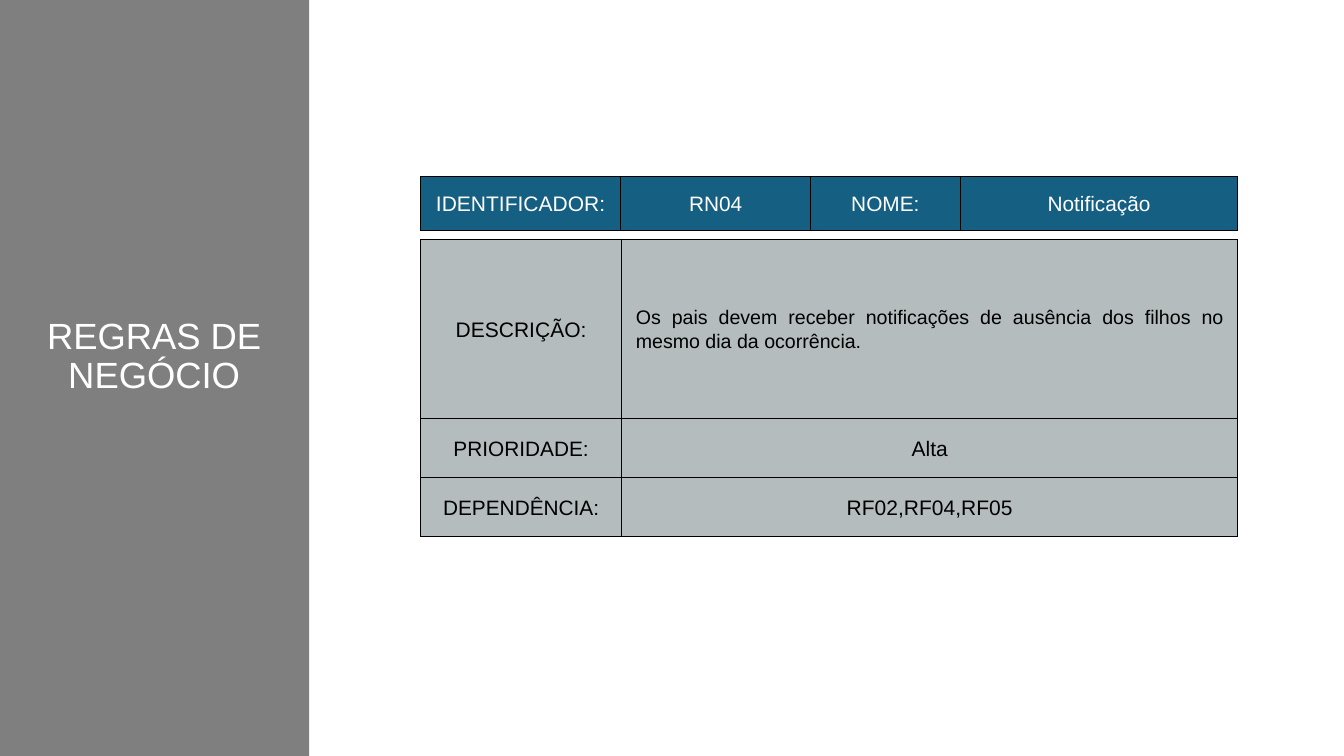
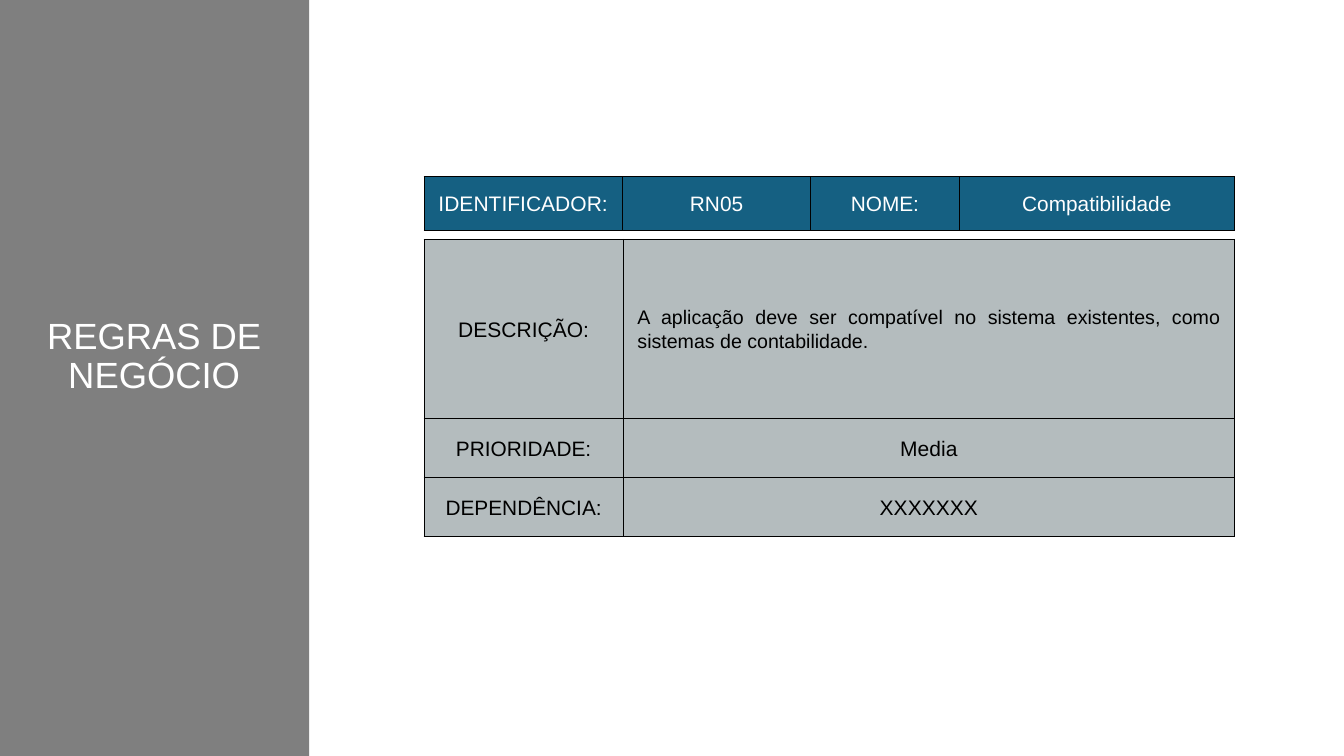
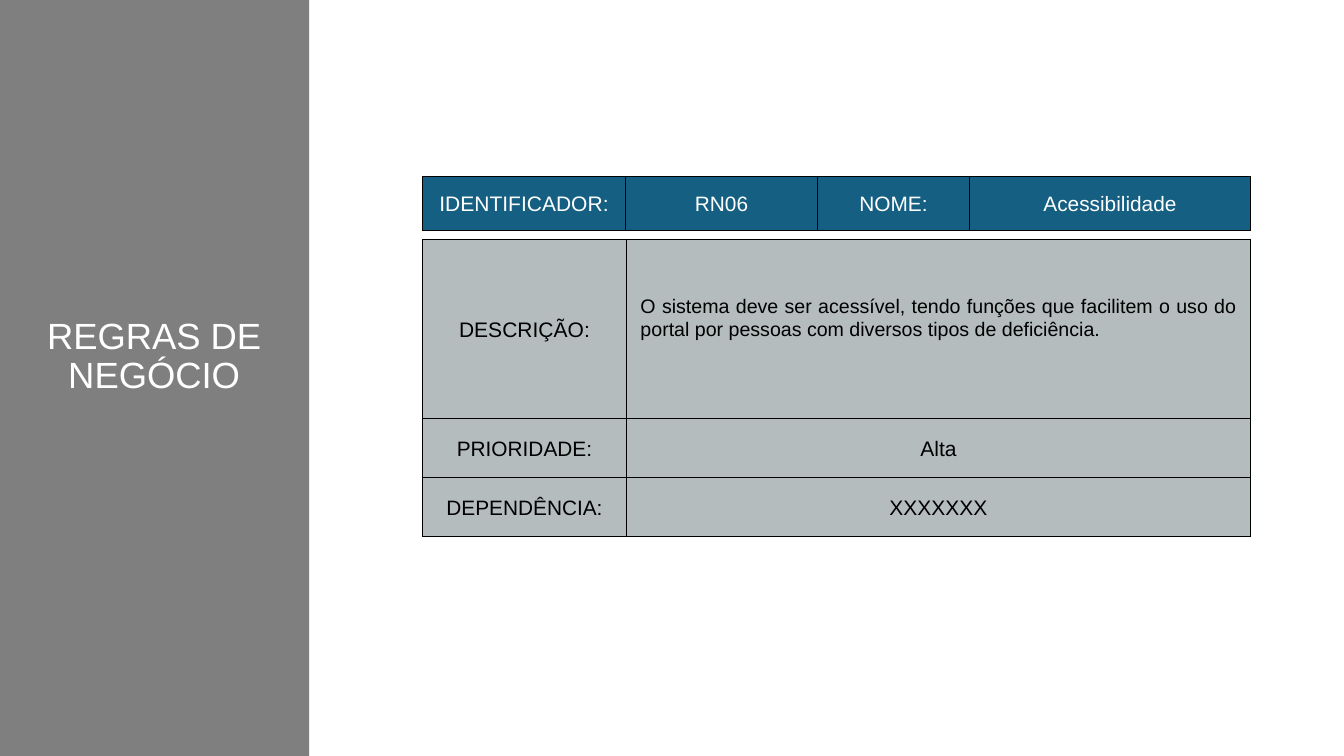
from pptx import Presentation
from pptx.dml.color import RGBColor
from pptx.enum.shapes import MSO_SHAPE
from pptx.enum.text import MSO_ANCHOR, PP_ALIGN
from pptx.oxml.ns import qn
from pptx.util import Inches, Pt
from lxml.etree import SubElement

WHITE = RGBColor(0xFF, 0xFF, 0xFF)
BLACK = RGBColor(0x00, 0x00, 0x00)
GRAY = RGBColor(0x7F, 0x7F, 0x7F)
BLUE = RGBColor(0x15, 0x60, 0x82)
SILVER = RGBColor(0xB4, 0xBC, 0xBE)

FONT = "Arial"
LABEL_SIZE = 22.5
DETAIL_SIZE = 22.3
DESCRIPTION_SIZE = 21
CELL_MARGIN = 0.21

SLIDE_WIDTH, SLIDE_HEIGHT = 20, 11.25
BAND_WIDTH = 4.6
HEADER_TOP, BODY_TOP = 2.63, 3.56
HEADER_ROWS = [0.79]
BODY_ROWS = [2.67, 0.88, 0.88]
HEADER_SHARES = [0.245, 0.232, 0.1835, 0.3395]
BODY_SHARES = [0.246, 0.754]

RULES = [
    dict(code="RN04", name="Notificação", priority="Alta",
         dependency="RF02,RF04,RF05", left=6.26, width=12.16,
         description="Os pais devem receber notificações de ausência dos "
                     "filhos no mesmo dia da ocorrência."),
    dict(code="RN05", name="Compatibilidade", priority="Media",
         dependency="XXXXXXX", left=6.31, width=12.06,
         description="A aplicação deve ser compatível no sistema existentes, "
                     "como sistemas de contabilidade."),
    dict(code="RN06", name="Acessibilidade", priority="Alta",
         dependency="XXXXXXX", left=6.29, width=12.32, description_lift=0.35,
         description="O sistema deve ser acessível, tendo funções que facilitem "
                     "o uso do portal por pessoas com diversos tipos de deficiência."),
]


def write_text(frame, text, size=LABEL_SIZE, color=BLACK,
               align=PP_ALIGN.CENTER, leading=1.2):
    frame.word_wrap = True
    paragraph = frame.paragraphs[0]
    paragraph.alignment = align
    paragraph.line_spacing = Pt(round(size * leading, 1))
    run = paragraph.add_run()
    run.text = text
    run.font.name = FONT
    run.font.size = Pt(size)
    run.font.color.rgb = color


def add_borders(cell):
    properties = cell._tc.get_or_add_tcPr()
    for side in ("a:lnL", "a:lnR", "a:lnT", "a:lnB"):
        border = SubElement(properties, qn(side), w=str(Pt(1)))
        fill = SubElement(border, qn("a:solidFill"))
        SubElement(fill, qn("a:srgbClr"), val=str(BLACK))


def style_cell(cell, fill):
    cell.vertical_anchor = MSO_ANCHOR.MIDDLE
    cell.margin_left = cell.margin_right = Inches(CELL_MARGIN)
    cell.margin_top = cell.margin_bottom = Inches(CELL_MARGIN)
    add_borders(cell)
    cell.fill.solid()
    cell.fill.fore_color.rgb = fill


def add_grid(slide, left, top, width, shares, heights, content, fill, color):
    grid = slide.shapes.add_table(
        len(heights), len(shares), Inches(left), Inches(top),
        Inches(width), Inches(sum(heights))).table
    grid.first_row = grid.horz_banding = False
    for column, share in zip(grid.columns, shares):
        column.width = Inches(width * share)
    for row, height, entries in zip(grid.rows, heights, content):
        row.height = Inches(height)
        for cell, (text, text_format) in zip(row.cells, entries):
            style_cell(cell, fill)
            write_text(cell.text_frame, text, color=color, **text_format)
    return grid


def add_rule_tables(slide, rule):
    label = dict(size=LABEL_SIZE)
    detail = dict(size=DETAIL_SIZE)
    prose = dict(size=DESCRIPTION_SIZE, align=PP_ALIGN.JUSTIFY)
    header = [[("IDENTIFICADOR:", label), (rule["code"], detail),
               ("NOME:", detail), (rule["name"], detail)]]
    body = [
        [("DESCRIÇÃO:", label), (rule["description"], prose)],
        [("PRIORIDADE:", detail), (rule["priority"], label)],
        [("DEPENDÊNCIA:", detail), (rule["dependency"], label)],
    ]
    left, width = rule["left"], rule["width"]
    add_grid(slide, left, HEADER_TOP, width, HEADER_SHARES, HEADER_ROWS,
             header, BLUE, WHITE)
    details = add_grid(slide, left, BODY_TOP, width, BODY_SHARES, BODY_ROWS,
                       body, SILVER, BLACK)
    lift = rule.get("description_lift", 0)
    details.cell(0, 1).margin_bottom = Inches(CELL_MARGIN + lift)


def add_title_band(slide, title):
    band = slide.shapes.add_shape(MSO_SHAPE.RECTANGLE, 0, 0,
                                  Inches(BAND_WIDTH), Inches(SLIDE_HEIGHT))
    band.shadow.inherit = False
    band.fill.solid()
    band.fill.fore_color.rgb = GRAY
    band.line.fill.background()
    frame = slide.shapes.add_textbox(Inches(0.23), Inches(4.72),
                                     Inches(4.13), Inches(1.21)).text_frame
    frame.margin_left = frame.margin_right = 0
    frame.margin_top = frame.margin_bottom = 0
    write_text(frame, title, size=39, color=WHITE, leading=1.08)


def main():
    deck = Presentation()
    deck.slide_width = Inches(SLIDE_WIDTH)
    deck.slide_height = Inches(SLIDE_HEIGHT)
    for rule in RULES:
        slide = deck.slides.add_slide(deck.slide_layouts[6])
        add_rule_tables(slide, rule)
        add_title_band(slide, "REGRAS DE NEGÓCIO")
    deck.save("out.pptx")


if __name__ == "__main__":
    main()
